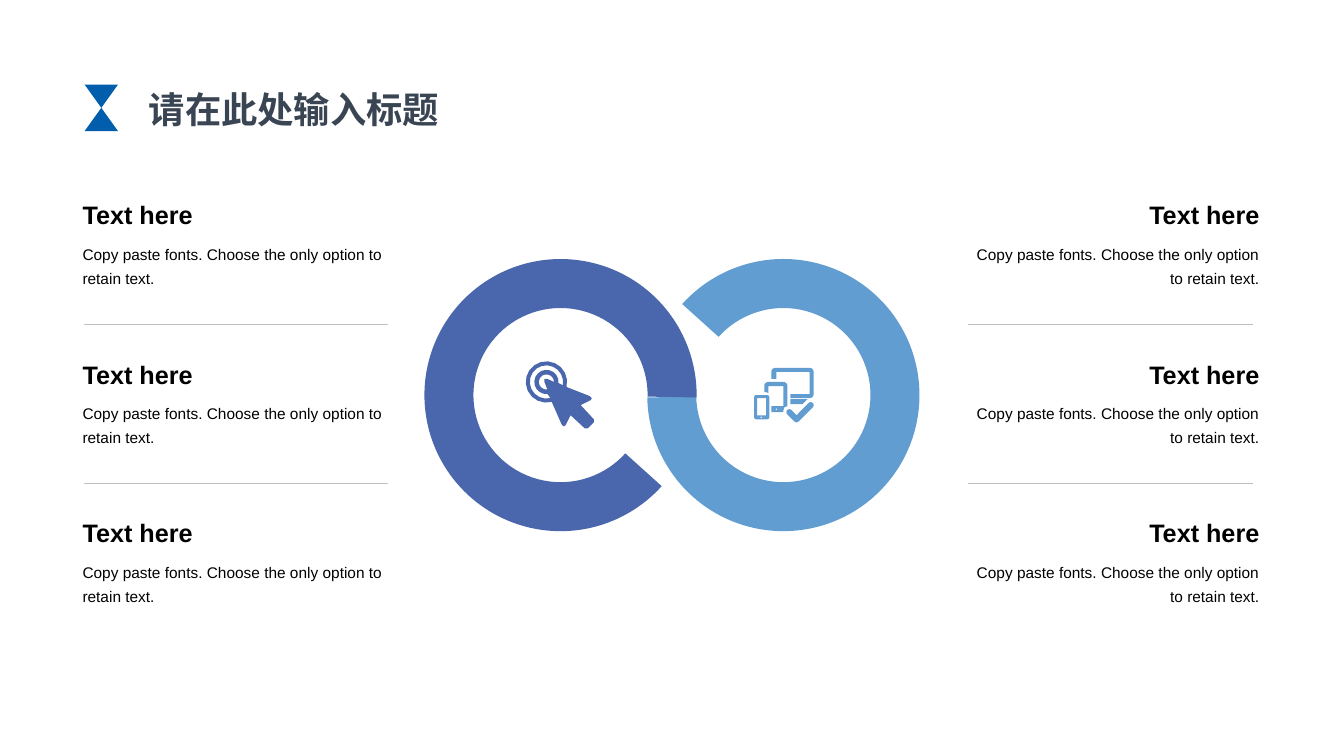
from math import cos, radians, sin

from lxml.etree import SubElement
from pptx import Presentation
from pptx.dml.color import RGBColor as Rgb
from pptx.enum.shapes import MSO_CONNECTOR as Connector, MSO_SHAPE as Shape
from pptx.enum.text import MSO_ANCHOR as Anchor, MSO_AUTO_SIZE as AutoSize, PP_ALIGN as Align
from pptx.oxml.ns import qn
from pptx.util import Pt

PX = 9144  # 100 px to the inch
FINE = 20  # outline steps per px
COLORS = {
    "navy": "4A66AC",
    "sky": "629DD1",
    "mark": "005EAC",
    "title": "3A4554",
    "text": "000000",
    "rule": "BFBFBF",
}

deck = Presentation()
deck.slide_width, deck.slide_height = 1333 * PX, 750 * PX
page = deck.slides.add_slide(deck.slide_layouts[5])


def arc(x, y, radius, start, end):
    """Points on a circle, in degrees, clockwise when end exceeds start."""
    steps = max(2, round(abs(end - start) / 20))
    angles = [radians(start + (end - start) * i / steps) for i in range(steps + 1)]
    return [(x + radius * cos(a), y + radius * sin(a)) for a in angles]


def paint(shape, color):
    shape.shadow.inherit = False
    shape.fill.solid()
    shape.fill.fore_color.rgb = Rgb.from_string(COLORS[color])
    shape.line.fill.background()


# Interlocked rings
for left, start, end, color in ((642, 222, 179, "sky"), (421, 42, 1, "navy")):
    ring = page.shapes.add_shape(Shape.BLOCK_ARC, left * PX, 257 * PX, 270 * PX, 270 * PX)
    for i, value in enumerate((start * 0.6, end * 0.6, 0.18)):
        ring.adjustments[i] = value
    paint(ring, color)

# Target and pointer icon
pointer = [(585, 393), (587, 395), (586, 397), (576, 402), (589, 416), (589, 419),
           (583, 425), (580, 425), (566, 412), (561, 422), (559, 423), (557, 421)]
target_icon = [
    arc(542, 379, 20.5, 75, 374) + pointer,
    arc(542, 379, 16.5, 76, 371) + arc(542, 379, 12, 365, 85),
    arc(542, 379, 7.5, 83, 360) + [(543, 376), (540, 376), (540, 379)],
]

# Devices icon
phone = (arc(750, 394, 2, 180, 270) + arc(761, 394, 2, 270, 360)
         + arc(761, 414, 2, 0, 90) + arc(750, 414, 2, 90, 180))
phone_screen = [(751, 395), (760, 395), (760, 412), (751, 412)]
tablet = ([(758, 389)] + arc(762, 383, 4, 180, 270) + arc(777, 383, 4, 270, 360)
          + [(781, 403), (778, 404), (777, 407), (777, 409), (765, 409), (765, 403),
             (777, 403), (777, 383), (762, 383), (762, 390), (760, 389)])
monitor = ([(765, 376)] + arc(769, 369, 4, 180, 270) + arc(803, 369, 4, 270, 360)
           + arc(803, 391, 4, 0, 90)
           + [(784, 395), (784, 391), (803, 391), (803, 369), (770, 369), (770, 376)])
stand = [(784, 396), (801, 396), (796, 401), (784, 401)]
check = (arc(804, 402, 3, 225, 405) + arc(790, 416, 3, 45, 135)
         + arc(783, 409, 3, 135, 315) + [(790, 412)])
buttons = [[(x - 1, y), (x, y - 1), (x + 1, y), (x, y + 1)] for x, y in ((755, 414), (770, 406))]
devices_icon = [phone, phone_screen, tablet, monitor, stand, check, *buttons]

# Each icon is one outline; contours inside others become holes
for contours, color in ((target_icon, "navy"), (devices_icon, "sky")):
    builder = page.shapes.build_freeform(scale=PX / FINE)
    for contour in contours:
        points = [(x * FINE, y * FINE) for x, y in contour]
        if contour is contours[0]:
            builder = page.shapes.build_freeform(*points[0], scale=PX / FINE)
        else:
            builder.move_to(*points[0])
        builder.add_line_segments(points[1:], close=True)
    paint(builder.convert_to_shape(), color)

# Text columns: left, width, alignment, rule start, rule end
columns = ((72, 339, Align.LEFT, 83, 385), (942, 317, Align.RIGHT, 960, 1243))
parts = (
    ("Copy paste fonts. Choose the only option to retain text.", 42, 61,
     {"word_wrap": True, "vertical_anchor": Anchor.TOP},
     {"line_spacing": 1.3}, {"size": Pt(11), "bold": False}),
    ("Text here", 0, 42,
     {"word_wrap": False, "vertical_anchor": Anchor.BOTTOM},
     {}, {"size": Pt(18), "bold": True}),
)
for left, width, align, rule_start, rule_end in columns:
    for top in (191, 349, 506):
        for words, offset, height, frame_format, para_format, font_format in parts:
            box = page.shapes.add_textbox(left * PX, (top + offset) * PX, width * PX, height * PX)
            frame = box.text_frame
            para = frame.paragraphs[0]
            span = para.add_run()
            span.text = words
            for target, values in (
                (frame, frame_format),
                (para, {"alignment": align, **para_format}),
                (span.font, {"name": "Arial", **font_format}),
            ):
                for name, value in values.items():
                    setattr(target, name, value)
            span.font.color.rgb = Rgb.from_string(COLORS["text"])

    # Rules between the rows
    for y in (322, 479):
        rule = page.shapes.add_connector(
            Connector.STRAIGHT, rule_start * PX, y * PX, rule_end * PX, y * PX)
        rule.line.width = Pt(0.25)
        rule.line.color.rgb = Rgb.from_string(COLORS["rule"])
        SubElement(rule._element.spPr, qn("a:effectLst"))

# Title
title = page.shapes.title
frame = title.text_frame
para = frame.paragraphs[0]
span = para.add_run()
span.text = "请在此处输入标题"
for target, values in (
    (title, {"left": 117 * PX, "top": 84 * PX, "width": 349 * PX, "height": 48 * PX}),
    (frame, {"margin_left": 0, "margin_right": 0, "margin_top": 5 * PX, "margin_bottom": 5 * PX,
             "word_wrap": False, "auto_size": AutoSize.NONE, "vertical_anchor": Anchor.MIDDLE}),
    (para, {"alignment": Align.CENTER}),
    (span.font, {"name": "Noto Sans CJK SC", "size": Pt(25.9), "bold": True}),
):
    for name, value in values.items():
        setattr(target, name, value)
span.font.color.rgb = Rgb.from_string(COLORS["title"])
SubElement(span.font._element, qn("a:ea"), typeface="Noto Sans CJK SC")

# Hourglass mark
mark = page.shapes.add_shape(Shape.FLOWCHART_COLLATE, 84 * PX, 84 * PX, 33 * PX, 46 * PX)
paint(mark, "mark")

deck.save("out.pptx")
